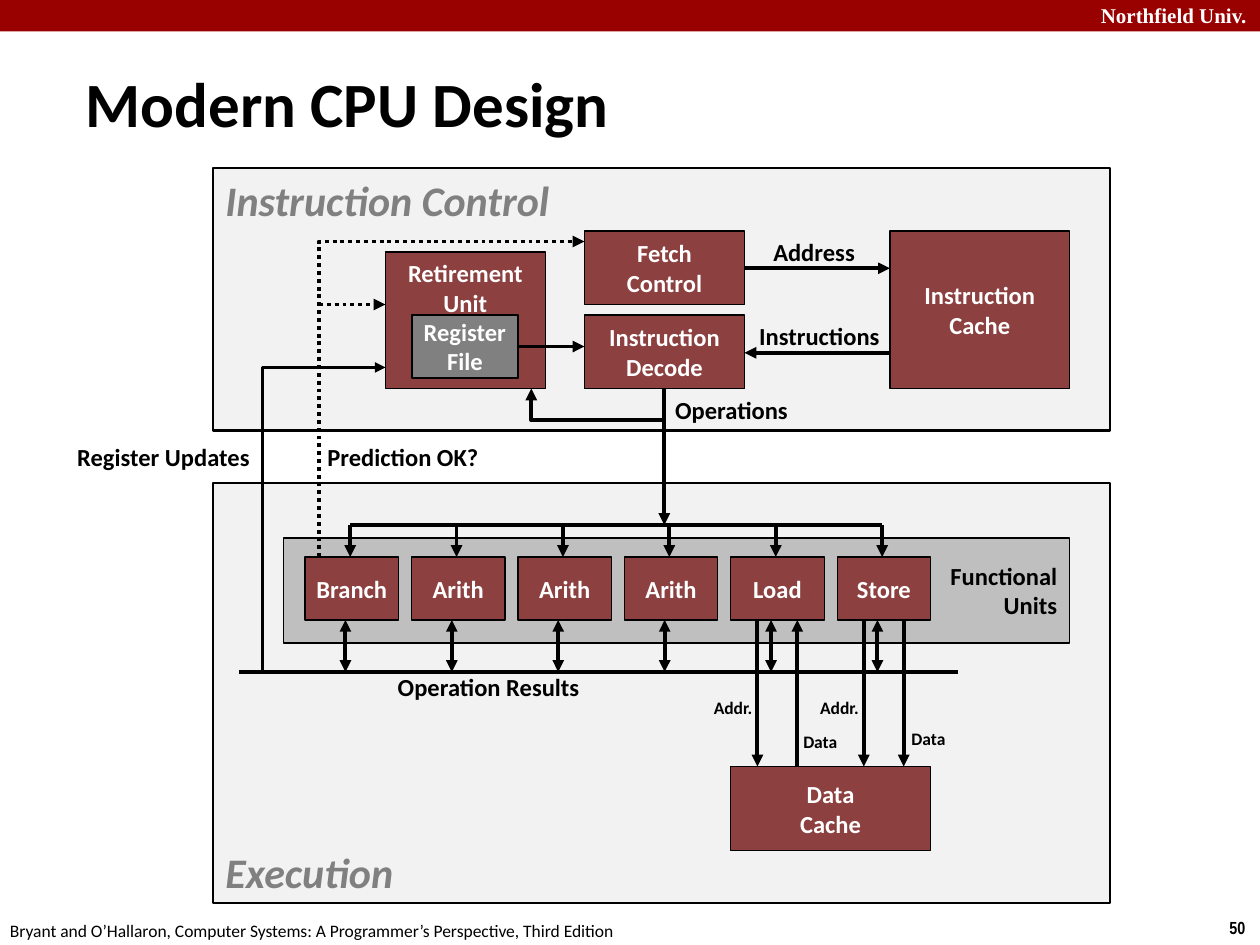
import pptx
import pptx.dml.color
import pptx.enum.dml
import pptx.enum.shapes
import pptx.enum.text
import pptx.oxml.ns
import pptx.util
from lxml import etree

Pt = pptx.util.Pt
RGBColor = pptx.dml.color.RGBColor
ALIGN = pptx.enum.text.PP_ALIGN
ANCHOR = pptx.enum.text.MSO_ANCHOR
SHAPE = pptx.enum.shapes.MSO_SHAPE
qn = pptx.oxml.ns.qn

BLACK = RGBColor(0x00, 0x00, 0x00)
WHITE = RGBColor(0xFF, 0xFF, 0xFF)
BANNER = RGBColor(0x99, 0x00, 0x00)
BRICK = RGBColor(0x8C, 0x40, 0x40)
PANEL = RGBColor(0xF2, 0xF2, 0xF2)
SILVER = RGBColor(0xBF, 0xBF, 0xBF)
GRAY = RGBColor(0x80, 0x80, 0x80)


class Diagram:
    """Block diagram style applied to one slide."""

    font = "Calibri"

    def __init__(self, slide):
        """Keep the slide to draw on."""
        self.slide = slide

    def set_text(self, shape, text, size=14, color=BLACK, align=ALIGN.CENTER,
                 anchor=ANCHOR.MIDDLE, bold=True, italic=False, font=None, wrap=False):
        """Put text into a shape, one paragraph per line."""
        tf = shape.text_frame
        tf.text = text
        tf.word_wrap = wrap
        tf.vertical_anchor = anchor
        for p in tf.paragraphs:
            p.alignment = align
            p.font.name = font or self.font
            p.font.size = Pt(size)
            p.font.bold = bold
            p.font.italic = italic
            p.font.color.rgb = color

    def title(self, text, x, y, w, h):
        """Place and format the title placeholder."""
        sp = self.slide.shapes.title
        sp.left, sp.top, sp.width, sp.height = Pt(x), Pt(y), Pt(w), Pt(h)
        self.set_text(sp, text, size=36, align=ALIGN.LEFT, wrap=True)

    def box(self, x, y, w, h, text="", fill=BRICK, line=0.75, **style):
        """Draw a filled rectangle with optional text."""
        sp = self.slide.shapes.add_shape(SHAPE.RECTANGLE, Pt(x), Pt(y), Pt(w), Pt(h))
        sp.shadow.inherit = False
        sp.fill.solid()
        sp.fill.fore_color.rgb = fill
        if line:
            sp.line.color.rgb = BLACK
            sp.line.width = Pt(line)
        else:
            sp.line.fill.background()
        if text:
            self.set_text(sp, text, **{"color": WHITE, **style})

    def panel(self, y, h, text, anchor):
        """Draw one of the two large framed stages."""
        self.box(121.7, y, 512.6, h, text, PANEL, 1.5, size=24, color=GRAY,
                 italic=True, align=ALIGN.LEFT, anchor=anchor, wrap=True)

    def label(self, x, y, w, text, h=24.2, **style):
        """Draw free-standing text."""
        sp = self.slide.shapes.add_textbox(Pt(x), Pt(y), Pt(w), Pt(h))
        self.set_text(sp, text, **{"anchor": ANCHOR.TOP, **style})

    def stroke(self, shape, width, dotted, head, tail):
        """Set the line style and the arrowheads."""
        shape.line.color.rgb = BLACK
        shape.line.width = Pt(width)
        if dotted:
            shape.line.dash_style = pptx.enum.dml.MSO_LINE.ROUND_DOT
        ln = shape.element.spPr.find(qn("a:ln"))
        for tag, shown in (("a:headEnd", head), ("a:tailEnd", tail)):
            if shown:
                etree.SubElement(ln, qn(tag), type="triangle")

    def line(self, x1, y1, x2, y2, head=False, tail=True, dotted=False):
        """Draw a straight line, by default an arrow to its end."""
        c = self.slide.shapes.add_connector(
            pptx.enum.shapes.MSO_CONNECTOR.STRAIGHT, Pt(x1), Pt(y1), Pt(x2), Pt(y2))
        self.stroke(c, 2.25, dotted, head, tail)
        etree.SubElement(c.element.spPr, qn("a:effectLst"))

    def bend(self, points, width=2.25, dotted=False):
        """Draw an angled arrow through the points."""
        start, *rest = [(Pt(x), Pt(y)) for x, y in points]
        builder = self.slide.shapes.build_freeform(*start)
        builder.add_line_segments(rest, close=False)
        sp = builder.convert_to_shape()
        sp.shadow.inherit = False
        sp.fill.background()
        self.stroke(sp, width, dotted, False, True)


def draw_frame(d):
    """Draw the banner, footer and title."""
    d.box(0, 0, 720, 18, fill=BANNER, line=0)
    d.label(622, -2.2, 103, "Northfield Univ.", 21.6, size=12, color=WHITE,
            font="Times New Roman", align=ALIGN.LEFT)
    d.label(695.5, 520.6, 24.5, "50", 19.4, size=10, font="Arial Narrow",
            align=ALIGN.LEFT)
    d.label(-1.4, 522, 365.8,
            "Bryant and O’Hallaron, Computer Systems: "
            "A Programmer’s Perspective, Third Edition",
            19.4, size=10, bold=False, align=ALIGN.LEFT)
    d.title("Modern CPU Design", 41.8, 36, 461.5, 45.4)


def draw_control(d):
    """Draw the blocks and arrows of the instruction control stage."""
    d.box(508.5, 132, 102.8, 90, "Instruction\nCache")
    d.box(334, 132, 91.5, 42, "Fetch\nControl")
    d.box(334, 180, 91.5, 42, "Instruction\nDecode")
    d.box(220.2, 144, 91.5, 78, "Retirement\nUnit", anchor=ANCHOR.TOP)
    d.box(235.4, 180, 60.6, 36, "Register\nFile", GRAY)
    d.line(425.5, 153.3, 508.5, 153.3)
    d.line(508.5, 201.6, 425.5, 201.6)
    d.line(296, 198, 334, 198)
    d.label(434.2, 132, 62, "Address")
    d.label(426.2, 180, 84.2, "Instructions")
    d.label(378, 222, 80, "Operations")


def draw_execution(d):
    """Draw the functional units, their buses and the data cache."""
    pitch, unit_y, unit_h = 60.8, 318.3, 36
    unit_bottom = unit_y + unit_h
    operations_y, results_y, cache_y = 300, 384, 438
    names = ["Branch", "Arith", "Arith", "Arith", "Load", "Store"]
    for i, name in enumerate(names):
        x = 174.4 + i * pitch
        d.box(x, unit_y, 53.4, unit_h, name)
        d.line(x + 25.7, operations_y, x + 25.7, unit_y)
        d.line(x + 23, unit_bottom, x + 23, results_y, head=True)
        if name in ("Load", "Store"):
            d.line(x + 15.2, unit_bottom, x + 15.2, cache_y)
            ends = (unit_bottom, cache_y) if name == "Store" else (cache_y, unit_bottom)
            d.line(x + 38, ends[0], x + 38, ends[1])
            d.label(x - 17.4, 394.6, 37.4, "Addr.", 19.4, size=10)
    d.line(200.1, operations_y, 200.1 + 5 * pitch, operations_y, tail=False)
    d.line(136.8, results_y, 547.2, results_y, tail=False)
    d.box(417.6, cache_y, 114, 48, "Data\nCache")
    d.label(451.4, 414, 34.6, "Data", 19.4, size=10)
    d.label(513.2, 412.6, 34.6, "Data", 19.4, size=10)
    d.label(220.2, 380.2, 119.5, "Operation Results", align=ALIGN.LEFT)


def draw_links(d):
    """Draw the arrows that join the two stages."""
    d.line(379.6, 222, 379.6, 300)
    d.bend([(379.6, 240), (303.6, 240), (303.6, 222)])
    d.bend([(182.3, 318.3), (182.3, 138), (334, 138)], dotted=True)
    d.line(182.3, 174, 220.2, 174, dotted=True)
    d.bend([(150, 384), (150, 210), (220.2, 210)], width=1.5)
    d.label(180, 249, 101.5, "Prediction OK?", align=ALIGN.LEFT)
    d.label(36, 249, 113.8, "Register Updates", align=ALIGN.RIGHT)


prs = pptx.Presentation()
prs.slide_width, prs.slide_height = Pt(720), Pt(540)
s = prs.slides.add_slide(prs.slide_layouts[5])
d = Diagram(s)
draw_frame(d)
d.panel(276, 240, "Execution", ANCHOR.BOTTOM)
d.box(162, 307.4, 449.3, 60, "Functional\nUnits", SILVER, color=BLACK,
      align=ALIGN.RIGHT, wrap=True)
d.panel(96, 150, "Instruction Control", ANCHOR.TOP)
draw_control(d)
draw_execution(d)
draw_links(d)
prs.save("out.pptx")
